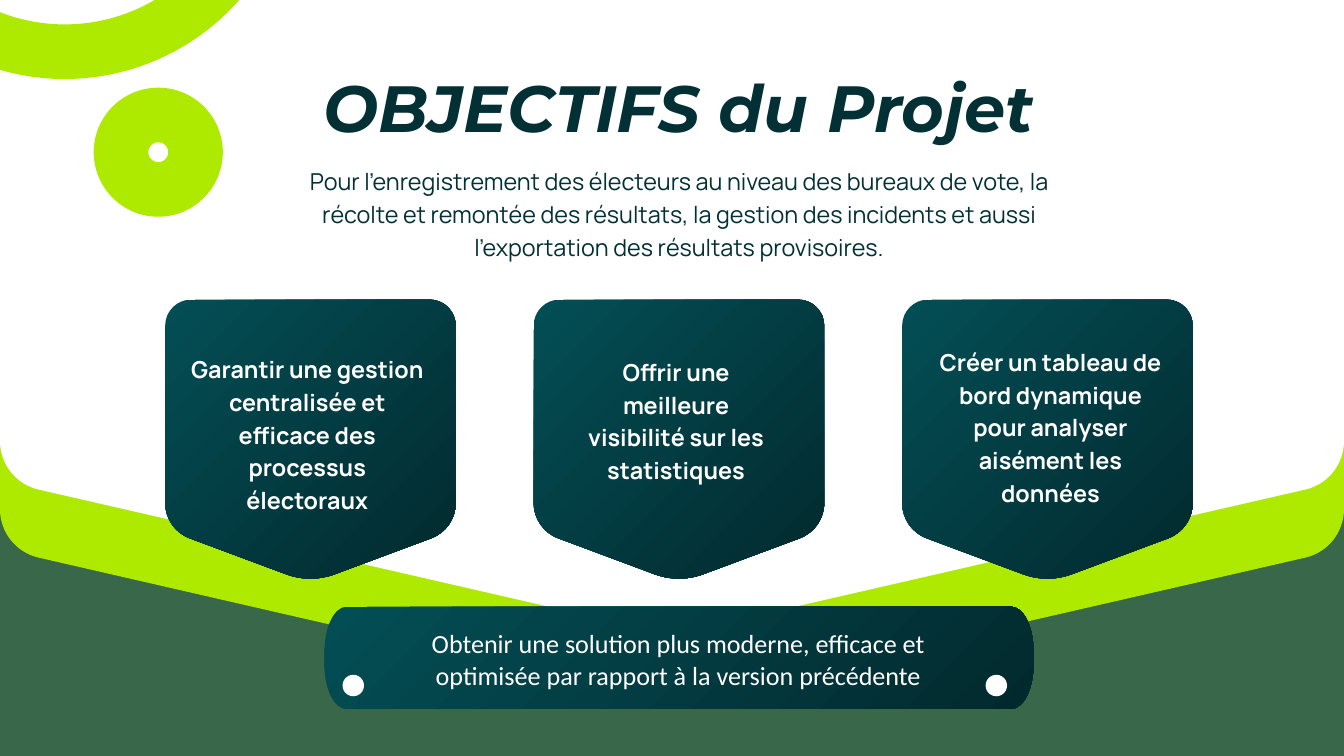
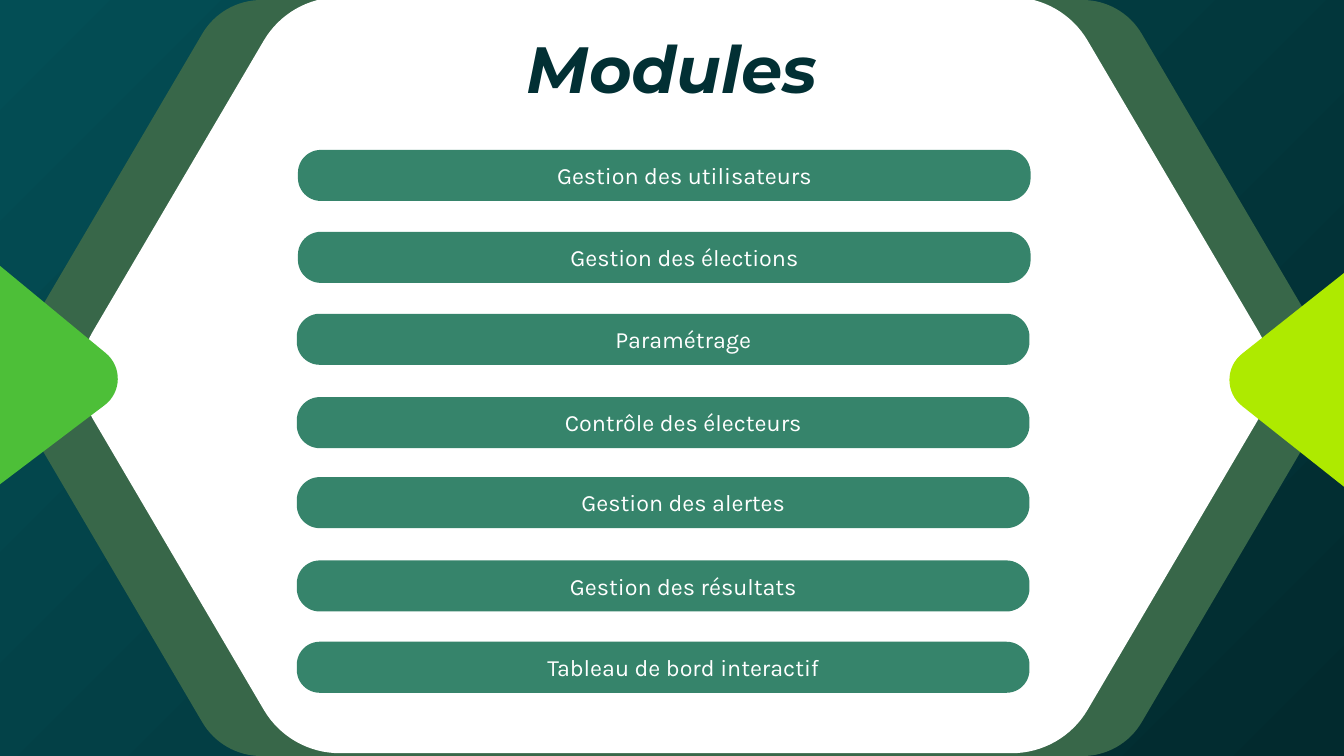
from math import atan2, hypot, pi, tan

from lxml.etree import SubElement
from pptx import Presentation
from pptx.dml.color import RGBColor
from pptx.enum.shapes import MSO_SHAPE as Preset
from pptx.enum.text import MSO_ANCHOR as Anchor, MSO_AUTO_SIZE as AutoSize, PP_ALIGN as Align
from pptx.oxml.ns import qn
from pptx.util import Pt

WIDTH, HEIGHT = 1440, 810
TITLE_ONLY = 5

WHITE = RGBColor(0xFF, 0xFF, 0xFF)
INK = RGBColor(0x02, 0x30, 0x34)
LIME = RGBColor(0xAE, 0xEA, 0x00)
LEAF = RGBColor(0x4D, 0xBF, 0x38)
FOREST = RGBColor(0x38, 0x67, 0x49)
JADE = RGBColor(0x36, 0x84, 0x6B)
TEAL = RGBColor(0x03, 0x4E, 0x55)
DEEP_TEAL = RGBColor(0x02, 0x2A, 0x2E)
TEAL_GRADIENT = (TEAL, DEEP_TEAL)

# Text, then left, top, width and height of its box
OBJECTIVES = [
    ("Garantir une gestion centralisée et efficace des processus électoraux",
     (200.2, 375.8, 257.8, 176.4)),
    ("Offrir une meilleure visibilité sur les statistiques",
     (620.6, 378.7, 207.4, 141)),
    ("Créer un tableau de bord dynamique pour analyser aisément les données",
     (1003.7, 367.9, 243.4, 175)),
]
# Text, then left and top of its button
MODULES = [
    ("Gestion des utilisateurs", 319.2, 160.6),
    ("Gestion des élections", 319.2, 248.4),
    ("Paramétrage", 318, 336.2),
    ("Contrôle des électeurs", 318, 425.5),
    ("Gestion des alertes", 318, 511.2),
    ("Gestion des résultats", 318, 600.5),
    ("Tableau de bord interactif", 318, 687.6),
]


def paint(fill, colour):
    """Fill with one colour, or with a diagonal gradient for a pair of colours."""
    if isinstance(colour, RGBColor):
        fill.solid()
        fill.fore_color.rgb = colour
    else:
        fill.gradient()
        fill.gradient_angle = 315
        for stop, stop_colour in zip(fill.gradient_stops, colour):
            stop.color.rgb = stop_colour


def finish(shape, colour):
    shape.shadow.inherit = False
    shape.line.fill.background()
    paint(shape.fill, colour)


def toward(start, end, distance):
    length = hypot(end[0] - start[0], end[1] - start[1])
    return tuple(a + (b - a) * distance / length for a, b in zip(start, end))


def corner_controls(before, corner, after, cut):
    """Four Bézier points of the arc that rounds a corner off, cut points from it."""
    turn = (atan2(after[1] - corner[1], after[0] - corner[0])
            - atan2(corner[1] - before[1], corner[0] - before[0]))
    turn = abs((turn + pi) % (2 * pi) - pi)
    handle = cut * (1 - 4 / 3 * tan(turn / 4) / tan(turn / 2))
    return [toward(corner, before, cut), toward(corner, before, handle),
            toward(corner, after, handle), toward(corner, after, cut)]


def bend_corners(shape, starts):
    """Turn the three line segments after each start into one Bézier curve."""
    path = shape.element.xpath(".//a:path")[0]
    segments = list(path)
    for start in starts:
        first, *others = segments[start + 1:start + 4]
        curve = SubElement(path, qn("a:cubicBezTo"))
        first.addprevious(curve)
        for segment in (first, *others):
            curve.append(segment[0])
            path.remove(segment)


def add_rounded_polygon(slide, corners, colour, cut, square=(), stretch=1):
    """Corners listed in square stay sharp; stretch multiplies the heights."""
    points, starts = [], []
    for index, corner in enumerate(corners):
        if index in square:
            points.append(corner)
        else:
            after = corners[(index + 1) % len(corners)]
            starts.append(len(points))
            points.extend(corner_controls(corners[index - 1], corner, after, cut))
    outline = [(Pt(x), Pt(y * stretch)) for x, y in points]
    builder = slide.shapes.build_freeform(*outline[0])
    builder.add_line_segments(outline[1:])
    shape = builder.convert_to_shape()
    bend_corners(shape, starts)
    finish(shape, colour)


def add_pointed_panel(slide, box, tip, colour, cut, square=()):
    """Box given as left, top, right, bottom of the sides, with a point below."""
    left, top, right, bottom = box
    corners = [(left, top), (right, top), (right, bottom),
               ((left + right) / 2, tip), (left, bottom)]
    add_rounded_polygon(slide, corners, colour, cut, square)


def add_hexagon(slide, left, right, top, colour, cut):
    inset, bottom, middle = 238, top + HEIGHT, top + HEIGHT / 2
    corners = [(left + inset, top), (right - inset, top), (right, middle),
               (right - inset, bottom), (left + inset, bottom), (left, middle)]
    add_rounded_polygon(slide, corners, colour, cut)


def add_preset(slide, preset, left, top, width, height, colour):
    shape = slide.shapes.add_shape(preset, Pt(left), Pt(top), Pt(width), Pt(height))
    finish(shape, colour)
    return shape


def add_ring(slide, left, top, size):
    ring = add_preset(slide, Preset.OVAL, left, top, size, size, LIME)
    ring.fill.background()
    ring.line.color.rgb = LIME
    ring.line.width = Pt(58.5)


def write(frame, text, font, size, spacing, colour=WHITE, bold=False, italic=False):
    frame.text = text
    frame.word_wrap = True
    frame.auto_size = AutoSize.NONE
    frame.margin_left = frame.margin_right = frame.margin_top = frame.margin_bottom = 0
    frame.vertical_anchor = Anchor.TOP
    paragraph = frame.paragraphs[0]
    paragraph.alignment = Align.CENTER
    paragraph.line_spacing = Pt(spacing)
    style = paragraph.runs[0].font
    style.name, style.size = font, Pt(size)
    style.bold, style.italic = bold, italic
    style.color.rgb = colour


def add_text(slide, text, box, font, size, spacing, **style):
    textbox = slide.shapes.add_textbox(*map(Pt, box))
    write(textbox.text_frame, text, font, size, spacing, **style)


def add_title(slide, text, left, top):
    title = slide.shapes.title
    slide.shapes.element.append(title.element)  # in front of the background shapes
    title.left, title.top, title.width, title.height = map(Pt, (left, top, 774.7, 69.8))
    write(title.text_frame, text, "Montserrat", 70, 69.3, INK, bold=True, italic=True)


def add_slide(presentation, background):
    slide = presentation.slides.add_slide(presentation.slide_layouts[TITLE_ONLY])
    paint(slide.background.fill, background)
    return slide


def build_objectives(presentation):
    slide = add_slide(presentation, FOREST)
    for side, colour in ((588, LIME), (515, WHITE)):
        add_pointed_panel(slide, (0, 0, WIDTH, side), side + 165.3, colour, 42.5, (0, 1))

    bar_corners = [(347.6, 325), (1107.4, 325), (1107.4, 379.8), (347.6, 379.8)]
    add_rounded_polygon(slide, bar_corners, TEAL_GRADIENT, 24, stretch=2)
    for left in (367, 1056):
        add_preset(slide, Preset.OVAL, left, 723, 23, 23, WHITE)
    add_text(slide, "Obtenir une solution plus moderne, efficace et optimisée "
             "par rapport à la version précédente",
             (409.7, 672.5, 633.6, 68.4), "Calibri", 28, 33.6)

    add_title(slide, "OBJECTIFS du Projet", 339.8, 87.1)
    add_text(slide, "Pour l’enregistrement des électeurs au niveau des bureaux de vote, "
             "la récolte et remontée des résultats, la gestion des incidents et aussi "
             "l’exportation des résultats provisoires.",
             (296.6, 174.6, 861.8, 103.7), "Manrope", 25, 35, colour=INK)

    for index, (text, box) in enumerate(OBJECTIVES):
        left = 177 + index * 394.8
        add_pointed_panel(slide, (left, 321, left + 311.3, 567), 625, TEAL_GRADIENT, 28)
        add_text(slide, text, box, "Manrope", 25, 35, bold=True)

    add_ring(slide, -150.3, -383.8, 439.2)
    add_ring(slide, 129.6, 123.1, 79.9)


def build_modules(presentation):
    slide = add_slide(presentation, TEAL_GRADIENT)
    add_hexagon(slide, 0, WIDTH, 0, FOREST, 42)
    add_hexagon(slide, 72, 1376, -3, WHITE, 54)
    add_rounded_polygon(slide, [(148, 407), (-57, 562), (-52, 242)], LEAF, 45)
    add_rounded_polygon(slide, [(1295.5, 407), (1497.5, 247), (1497.5, 567)], LIME, 45)
    add_title(slide, "Modules", 332.6, 44.6)

    for module, left, top in MODULES:
        button = add_preset(slide, Preset.ROUNDED_RECTANGLE, left, top, 785, 54.7, JADE)
        button.adjustments[0] = 0.45
        add_text(slide, module, (left + 223, top + 7.2, 382, 33), "Karla", 25, 35)


def main():
    presentation = Presentation()
    presentation.slide_width, presentation.slide_height = Pt(WIDTH), Pt(HEIGHT)
    build_objectives(presentation)
    build_modules(presentation)
    presentation.save("out.pptx")


if __name__ == "__main__":
    main()
